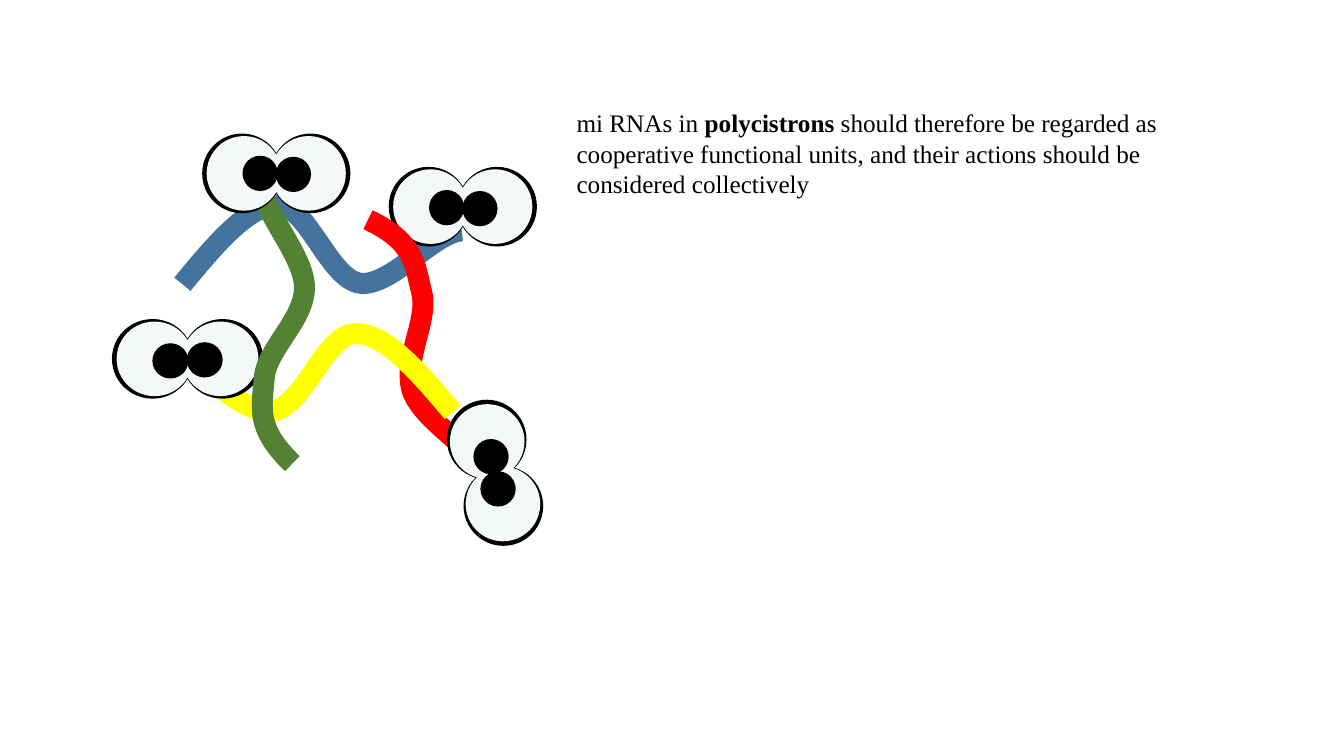
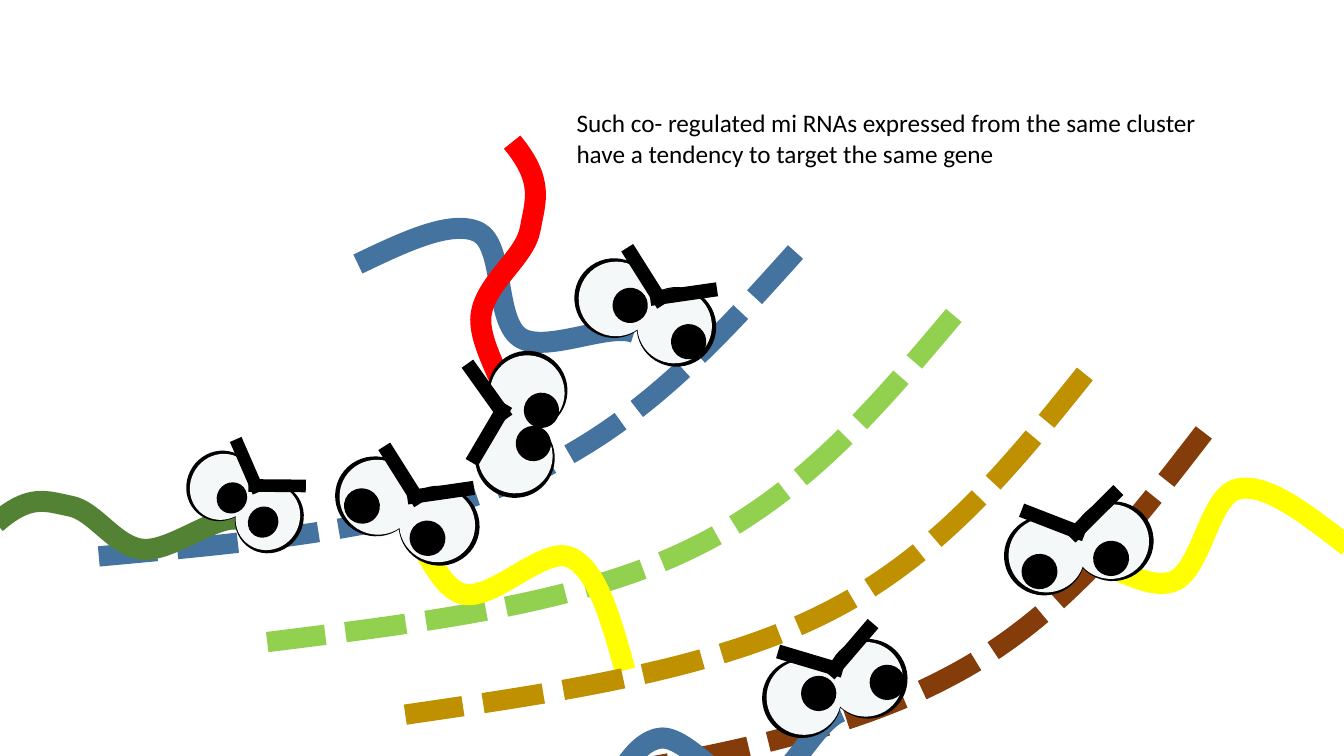
from collections import namedtuple
from math import cos, radians, sin

from lxml import etree
from pptx import Presentation
from pptx.dml.color import RGBColor
from pptx.enum.dml import MSO_LINE
from pptx.enum.shapes import MSO_SHAPE as SHAPE
from pptx.oxml.ns import qn
from pptx.util import Inches, Pt

BLUE, RED, YELLOW, GREEN = "43739E", "FF0000", "FFFF00", "548235"
BROWN, LIME, GOLD = "843C0B", "92D050", "BF9000"
BLACK, EYE_WHITE = "000000", "F5F8F9"
FLIPPED = (1.02, 1)  # eye pairs that are slightly wider
SMALL = (0.85, 0.9)

# A strand without eyes is a dashed target gene; brows are (x, y, tilt)
Strand = namedtuple("Strand", "color points eyes tilt pupils brows scale",
                    defaults=(None, 0, (), None, (1, 1)))


def draw_curve(shapes, points, color, width, dash=None):
    """Draw a start point followed by groups of three Bezier points."""
    points = [(Inches(x), Inches(y)) for x, y in points]
    builder = shapes.build_freeform(*points[0])
    builder.add_line_segments(points[1:], close=False)
    sp = builder.convert_to_shape()
    outline = next(sp._element.iter(qn("a:path")))
    lines = outline.findall(qn("a:lnTo"))
    for i in range(0, len(lines), 3):
        bezier = etree.SubElement(outline, qn("a:cubicBezTo"))
        for line in lines[i:i + 3]:
            bezier.append(line[0])
            outline.remove(line)
    sp.shadow.inherit = False
    sp.fill.background()
    sp.line.color.rgb = RGBColor.from_string(color)
    sp.line.width = Pt(width)
    sp.line.dash_style = dash


def draw_part(shapes, kind, center, size, angle, color):
    """Draw a filled preset shape around its center."""
    (x, y), (w, h) = center, size
    sp = shapes.add_shape(kind, Inches(x - w / 2), Inches(y - h / 2), Inches(w), Inches(h))
    sp.rotation = angle
    sp.shadow.inherit = False
    sp.fill.solid()
    sp.fill.fore_color.rgb = RGBColor.from_string(color)
    sp.line.fill.background()


# Calm strands that work together
cooperating = [
    Strand(BLUE, [(1.81, 2.82), (2.13, 2.43), (2.46, 2.04), (2.75, 2.03), (3.05, 2.03),
                  (3.26, 2.76), (3.57, 2.81), (3.87, 2.85), (4.3, 2.31), (4.58, 2.29)],
           (4.59, 2.05), 0, [(4.43, 2.06), (4.76, 2.07)]),
    Strand(RED, [(3.65, 2.18), (4.11, 2.4), (4.11, 2.61), (4.18, 2.89), (4.26, 3.17),
                 (3.99, 3.57), (4.09, 3.88), (4.2, 4.19), (4.75, 4.47), (4.84, 4.74)],
           (4.91, 4.69), 75.9, [(4.87, 4.53), (4.94, 4.85)]),
    Strand(YELLOW, [(4.49, 4.09), (4.16, 3.7), (3.83, 3.31), (3.53, 3.31), (3.23, 3.3),
                    (3.01, 4.04), (2.7, 4.08), (2.39, 4.12), (1.96, 3.58), (1.67, 3.56)],
           (1.86, 3.56), 0, [(2.03, 3.57), (1.69, 3.58)], scale=FLIPPED),
    Strand(GREEN, [(2.9, 4.6), (2.53, 4.24), (2.6, 4.05), (2.62, 3.76), (2.64, 3.46),
                   (3.03, 3.17), (3.02, 2.84), (3.01, 2.52), (2.58, 2.08), (2.59, 1.79)],
           (2.74, 1.72), 0, [(2.58, 1.72), (2.91, 1.73)]),
]

# Angry strands that attack their target genes
targeting = [
    Strand(BLUE, [(7.89, 2.5), (7.11, 3.37), (6.33, 4.24), (5.18, 4.74),
                  (4.03, 5.25), (2.5, 5.38), (0.98, 5.52)]),
    Strand(BLUE, [(3.55, 2.62), (4.01, 2.4), (4.47, 2.18), (4.74, 2.3), (5.01, 2.43),
                  (4.9, 3.18), (5.16, 3.35), (5.41, 3.51), (6.03, 3.2), (6.29, 3.3)],
           (6.4, 3.1), 24.8, [(6.25, 3.03), (6.83, 3.39)], (6.59, 2.83, 24.8)),
    Strand(RED, [(5.08, 1.41), (5.4, 1.8), (5.31, 1.99), (5.26, 2.27), (5.21, 2.56),
                 (4.8, 2.81), (4.77, 3.14), (4.74, 3.46), (5.12, 3.95), (5.08, 4.23)],
           (5.17, 4.21), 100.7, [(5.37, 4.07), (5.29, 4.4)], (4.84, 4.09, 267.5)),
    Strand(GREEN, [(-0.04, 5.19), (0.29, 4.9), (0.45, 4.97), (0.69, 5.02), (0.94, 5.06),
                   (1.14, 5.43), (1.42, 5.45), (1.69, 5.47), (2.11, 5.13), (2.34, 5.15)],
           (2.43, 4.98), 33.5, [(2.3, 4.94), (2.61, 5.18)], (2.6, 4.72, 33.5), SMALL),
    Strand(BROWN, [(11.94, 4.29), (11.23, 5.21), (10.52, 6.14), (9.4, 6.72),
                   (8.29, 7.31), (6.78, 7.56), (5.27, 7.81)]),
    Strand(LIME, [(9.46, 3.13), (8.71, 4.02), (7.96, 4.92), (6.82, 5.46),
                  (5.69, 6), (4.17, 6.18), (2.65, 6.37)]),
    Strand(YELLOW, [(6.2, 6.65), (6.06, 6.15), (5.93, 5.66), (5.66, 5.53), (5.39, 5.41),
                    (4.88, 5.98), (4.58, 5.89), (4.29, 5.8), (4.12, 5.13), (3.87, 4.99)],
           (4.04, 5.07), 24.8, [(4.24, 5.34), (3.59, 5.02)], (4.18, 4.8, 24.8), FLIPPED),
    Strand(GOLD, [(10.76, 3.71), (10.03, 4.62), (9.3, 5.53), (8.17, 6.09),
                  (7.05, 6.65), (5.53, 6.87), (4.02, 7.09)]),
    Strand(BLUE, [(5.83, 8.35), (6.03, 7.88), (6.23, 7.41), (6.51, 7.33), (6.79, 7.24),
                  (7.2, 7.88), (7.51, 7.84), (7.81, 7.79), (8.07, 7.16), (8.34, 7.06)],
           (8.28, 6.83), 343.6, [(8.12, 6.88), (8.8, 6.77)], (8.24, 6.5, 343.6)),
    Strand(YELLOW, [(13.37, 5.42), (12.97, 5.11), (12.57, 4.79), (12.28, 4.85), (11.99, 4.91),
                    (11.92, 5.67), (11.63, 5.77), (11.33, 5.88), (10.8, 5.44), (10.51, 5.48)],
           (10.7, 5.44), 348.2, [(11.02, 5.54), (10.31, 5.67)], (10.65, 5.14, 348.2), FLIPPED),
]

# Statement runs are (text, bold)
slides = [
    (cooperating, "Times New Roman", 1.01,
     [("mi RNAs in ", False), ("polycistrons", True),
      (" should therefore be regarded as cooperative functional units, "
       "and their actions should be considered collectively", False)]),
    (targeting, "Calibri", 0.71,
     [("Such co- regulated mi RNAs expressed from the same cluster "
       "have a tendency to target the same gene", False)]),
]

prs = Presentation()
prs.slide_width, prs.slide_height = Inches(13.33), Inches(7.5)

for strands, font, height, runs in slides:
    s = prs.slides.add_slide(prs.slide_layouts[6])

    # Statement
    tf = s.shapes.add_textbox(Inches(5.62), Inches(1.02), Inches(6.67), Inches(height)).text_frame
    tf.word_wrap = True
    p = tf.paragraphs[0]
    p.font.name, p.font.size = font, Pt(18)
    p.font.color.rgb = RGBColor.from_string(BLACK)
    for text, bold in runs:
        r = p.add_run()
        r.text = text
        if bold:
            r.font.bold = True

    for strand in strands:
        # Target gene
        if strand.eyes is None:
            draw_curve(s.shapes, strand.points, strand.color, 14.5, MSO_LINE.SQUARE_DOT)
            continue

        # Strand body
        shapes = s.shapes.add_group_shape().shapes
        draw_curve(shapes, strand.points, strand.color, 15)

        # Eye rims, then whites, mirrored about the middle of the pair
        (x, y), (kx, ky) = strand.eyes, strand.scale
        turn = radians(strand.tilt)
        for size, offset, color in ((0.79, 0.34, BLACK), (0.74, 0.32, EYE_WHITE)):
            for side in (-1, 1):
                d = side * offset * kx
                draw_part(shapes, SHAPE.OVAL, (x + d * cos(turn), y + d * sin(turn)),
                          (size * kx, size * ky), strand.tilt, color)
        for pupil in strand.pupils:
            draw_part(shapes, SHAPE.OVAL, pupil, (0.35 * kx, 0.35 * ky), strand.tilt, BLACK)

        # Brows meet in a V
        if strand.brows:
            x, y, tilt = strand.brows
            k = min(kx, 1)
            for side in (-1, 1):
                d = side * 0.21 * k
                draw_part(shapes, SHAPE.RECTANGLE,
                          (x + d * cos(radians(tilt)), y + d * sin(radians(tilt))),
                          (0.67 * k, 0.14 * ky), tilt - side * 33, BLACK)

prs.save("out.pptx")
